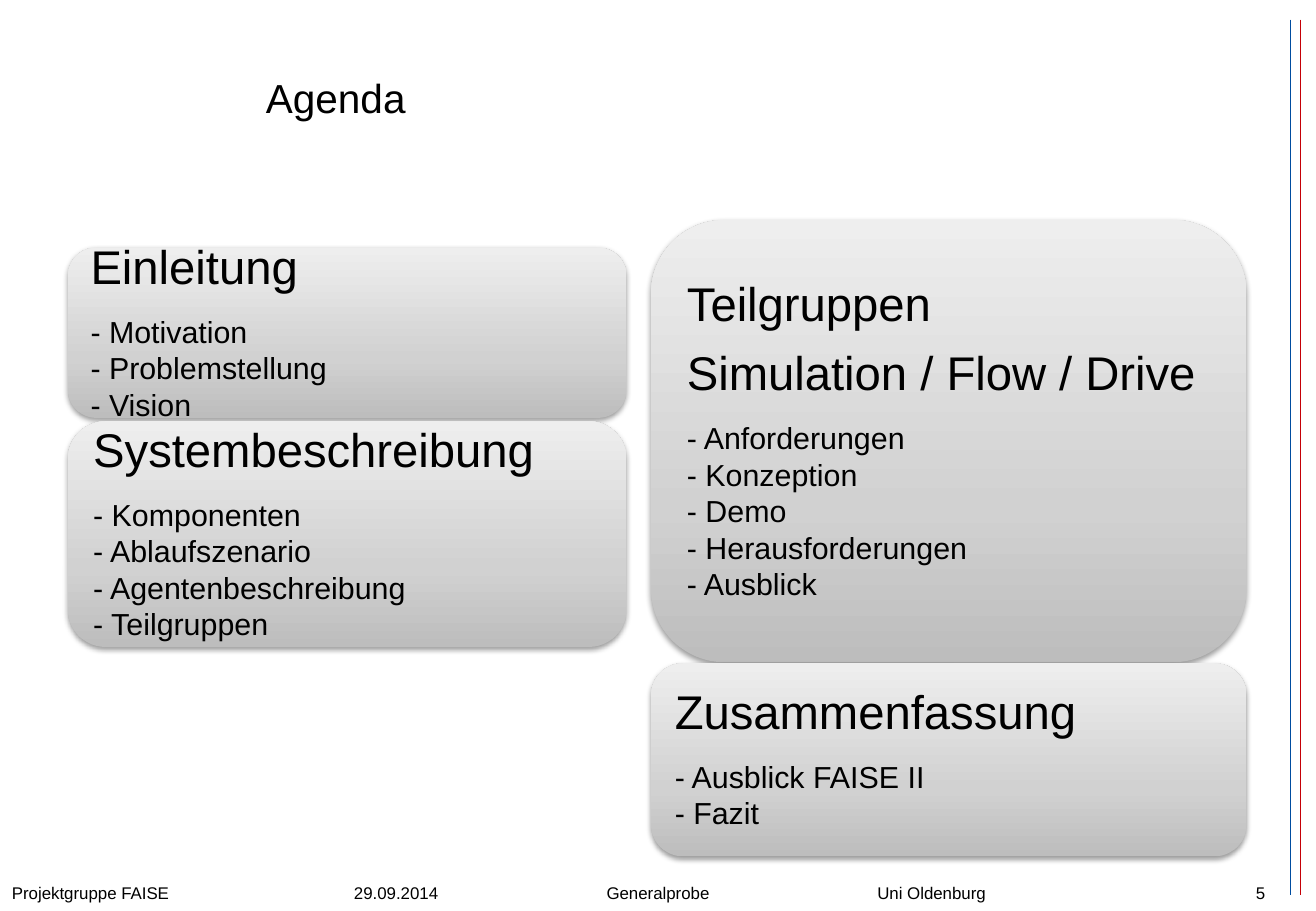
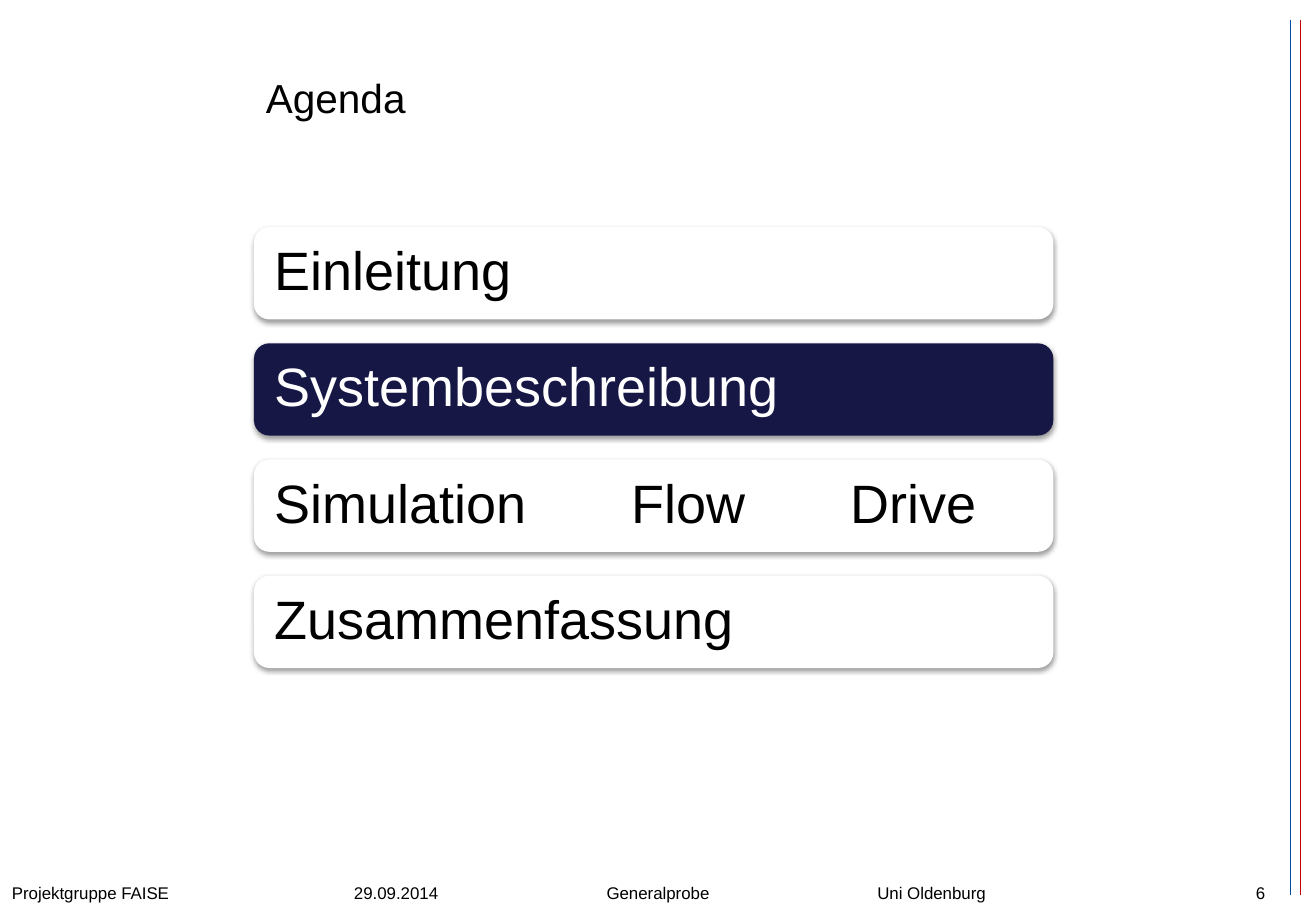
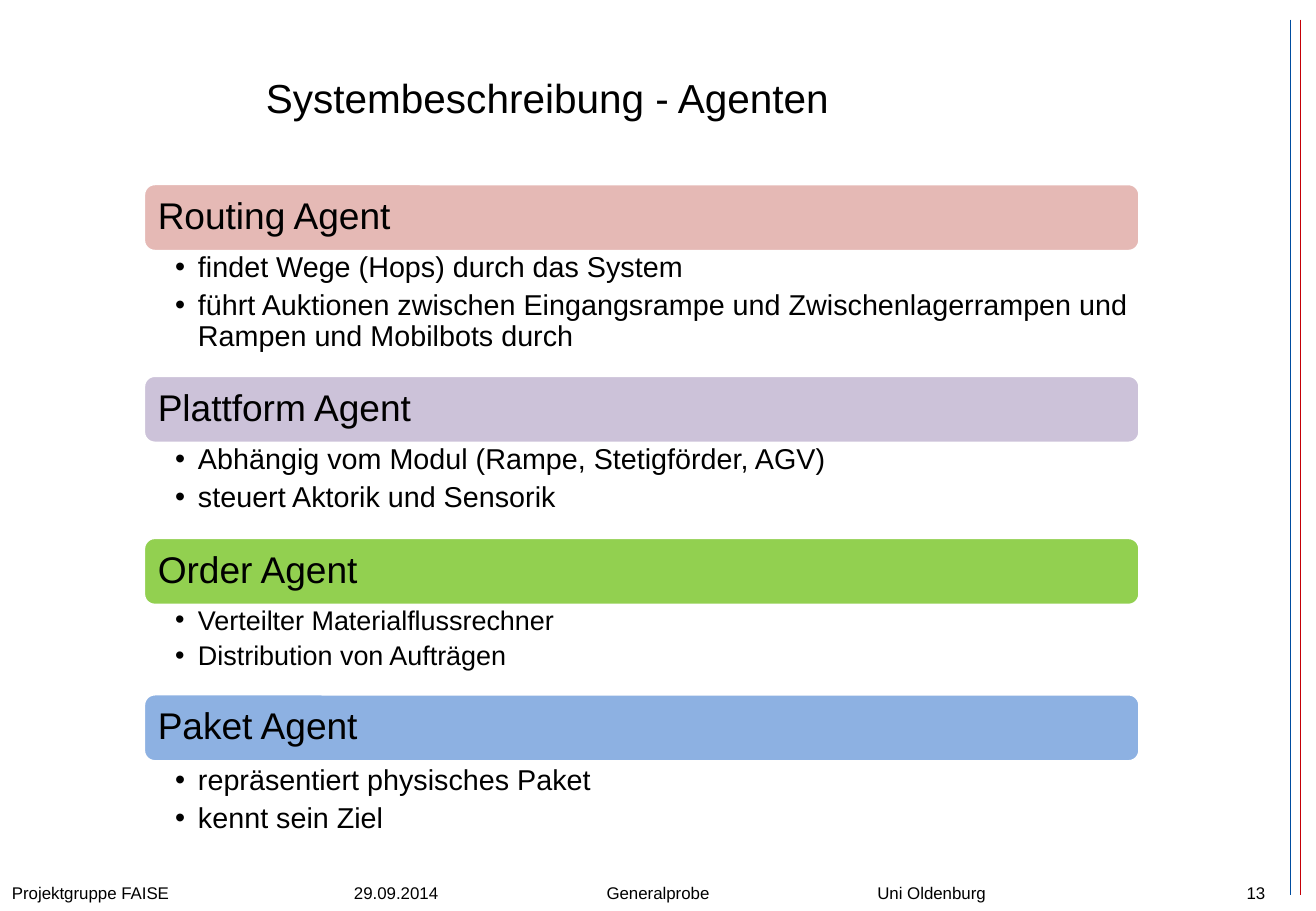
"""Build three agenda and agent slides of a project group talk."""
from dataclasses import dataclass

from lxml import etree
from pptx import Presentation
from pptx.dml.color import RGBColor
from pptx.enum.shapes import MSO_CONNECTOR, MSO_SHAPE
from pptx.enum.text import MSO_ANCHOR, PP_ALIGN
from pptx.oxml.ns import qn
from pptx.util import Cm, Pt

ROUND = MSO_SHAPE.ROUNDED_RECTANGLE
STRAIGHT = MSO_CONNECTOR.STRAIGHT
TOP, MIDDLE = MSO_ANCHOR.TOP, MSO_ANCHOR.MIDDLE
LEFT, RIGHT = PP_ALIGN.LEFT, PP_ALIGN.RIGHT


@dataclass(frozen=True)
class Theme:
    font: str = "Arial"
    text: str = "000000"
    white: str = "FFFFFF"
    active: str = "171745"
    red: str = "C50007"
    blue: str = "004CA0"
    card: tuple = ((0, "BDBDBD"), (35, "D1D1D1"), (100, "EEEEEE"))
    title: int = 24
    footer: int = 10
    card_head: int = 28
    card_item: int = 18
    step: int = 32
    agent: int = 22


@dataclass(frozen=True)
class Box:
    x: float
    y: float
    w: float
    h: float

    def emu(self) -> tuple:
        return Cm(self.x), Cm(self.y), Cm(self.w), Cm(self.h)


@dataclass(frozen=True)
class Card:
    box: Box
    heads: tuple
    items: tuple


@dataclass(frozen=True)
class Agent:
    name: str
    color: str
    height: float
    duties: tuple
    size: int = 17
    pad: float = 0.03


T = Theme()
FOOTER = "Projektgruppe FAISE\t29.09.2014\tGeneralprobe\tUni Oldenburg"
FOOTER_TABS = (7.15, 12.43, 18.09)
RULES = ((27.18, T.red), (26.97, T.blue))

CARDS = (
    Card(Box(1.42, 5.18, 11.68, 3.56), ("Einleitung",),
         ("- Motivation", "- Problemstellung", "- Vision")),
    Card(Box(1.42, 8.81, 11.68, 4.72), ("Systembeschreibung",),
         ("- Komponenten", "- Ablaufszenario", "- Agentenbeschreibung",
          "- Teilgruppen")),
    Card(Box(13.61, 4.6, 12.45, 9.25),
         ("Teilgruppen", "Simulation / Flow / Drive"),
         ("- Anforderungen", "- Konzeption", "- Demo",
          "- Herausforderungen", "- Ausblick")),
    Card(Box(13.61, 13.87, 12.45, 4.04), ("Zusammenfassung",),
         ("- Ausblick FAISE II", "- Fazit")),
)

STEPS = ("Einleitung", "Systembeschreibung", "Simulation\tFlow\tDrive",
         "Zusammenfassung")
STEP_TABS = (7.47, 12.05)
ACTIVE_STEP = 1

AGENTS = (
    Agent("Routing Agent", "E5B9B5", 2.59,
          ("findet Wege (Hops) durch das System",
           "führt Auktionen zwischen Eingangsrampe und Zwischenlagerrampen "
           "und Rampen und Mobilbots durch")),
    Agent("Plattform Agent", "CCC2D9", 1.97,
          ("Abhängig vom Modul (Rampe, Stetigförder, AGV)",
           "steuert Aktorik und Sensorik")),
    Agent("Order Agent", "92D050", 1.85,
          ("Verteilter Materialflussrechner", "Distribution von Aufträgen"),
          size=16),
    Agent("Paket Agent", "8DB1E2", 1.55,
          ("repräsentiert physisches Paket", "kennt sein Ziel"), pad=0.08),
)


def rgb(value: str) -> RGBColor:
    return RGBColor.from_string(value)


def add_run(p, text: str, size: float, color: str = T.text) -> None:
    r = p.add_run()
    r.text = text
    r.font.name = T.font
    r.font.size = Pt(size)
    r.font.color.rgb = rgb(color)


def set_frame(sp, anchor, insets: tuple | None = None):
    tf = sp.text_frame
    tf.word_wrap = True
    tf.vertical_anchor = anchor
    if insets:
        (tf.margin_left, tf.margin_top,
         tf.margin_right, tf.margin_bottom) = map(Cm, insets)
    return tf


def next_paragraph(tf, first: bool, after: float = 0,
                   spacing: float | None = None):
    p = tf.paragraphs[0] if first else tf.add_paragraph()
    p.alignment = LEFT
    p.space_after = Pt(after)
    if spacing:
        p.line_spacing = spacing
    return p


def add_tabs(p, stops: tuple) -> None:
    tabs = etree.SubElement(p._p.get_or_add_pPr(), qn("a:tabLst"))
    for stop in stops:
        etree.SubElement(tabs, qn("a:tab"), pos=str(Cm(stop)), algn="l")


def add_bullet(p) -> None:
    props = p._p.get_or_add_pPr()
    props.set("marL", str(Cm(0.48)))
    props.set("indent", str(Cm(-0.48)))
    etree.SubElement(props, qn("a:buFont"), typeface=T.font)
    etree.SubElement(props, qn("a:buChar"), char="•")


def add_color(parent, value: str):
    return etree.SubElement(parent, qn("a:srgbClr"), val=value)


def add_shadow(sp) -> None:
    effects = sp._element.spPr.find(qn("a:effectLst"))
    shadow = etree.SubElement(effects, qn("a:outerShdw"), blurRad="40000",
                              dist="20000", dir="5400000", rotWithShape="0")
    etree.SubElement(add_color(shadow, "000000"), qn("a:alpha"), val="38000")


def fill_gradient(sp, stops: tuple) -> None:
    sp.fill.gradient()
    sp.fill.gradient_angle = 90
    gs_list = next(sp._element.spPr.iter(qn("a:gsLst")))
    for old in list(gs_list):
        gs_list.remove(old)
    for pos, color in stops:
        add_color(etree.SubElement(gs_list, qn("a:gs"), pos=str(pos * 1000)),
                  color)


def add_panel(s, box: Box, fill: str | tuple, outline: str | None = None):
    sp = s.shapes.add_shape(ROUND, *box.emu())
    if isinstance(fill, tuple):
        fill_gradient(sp, fill)
    else:
        sp.fill.solid()
        sp.fill.fore_color.rgb = rgb(fill)
    if outline:
        sp.line.color.rgb = rgb(outline)
        sp.line.width = Pt(2)
    else:
        sp.line.fill.background()
    sp.shadow.inherit = False
    if not outline:
        add_shadow(sp)
    return sp


def add_label(s, box: Box, text: str, size: int, anchor=TOP, align=LEFT,
              tabs: tuple = ()) -> None:
    tf = set_frame(s.shapes.add_textbox(*box.emu()), anchor)
    p = next_paragraph(tf, True)
    p.alignment = align
    if tabs:
        add_tabs(p, tabs)
    add_run(p, text, size)


def add_slide(prs, title: str, number: int):
    s = prs.slides.add_slide(prs.slide_layouts[6])
    for x, color in RULES:
        line = s.shapes.add_connector(STRAIGHT, Cm(x), Cm(0.41),
                                      Cm(x), Cm(18.72))
        line.line.color.rgb = rgb(color)
        line.line.width = Pt(0.25)
        etree.SubElement(line._element.spPr, qn("a:effectLst"))
    add_label(s, Box(5.31, 0.76, 20.83, 2.57), title, T.title, MIDDLE)
    add_label(s, Box(20.27, 18.34, 6.43, 0.61), str(number), T.footer,
              align=RIGHT)
    add_label(s, Box(0, 18.34, 25.88, 0.71), FOOTER, T.footer,
              tabs=FOOTER_TABS)
    return s


def add_card(s, card: Card) -> None:
    tf = set_frame(add_panel(s, card.box, T.card), MIDDLE, (0.3,) * 4)
    for i, head in enumerate(card.heads):
        add_run(next_paragraph(tf, i == 0, 11, 0.9), head, T.card_head)
    p = next_paragraph(tf, False)
    for i, item in enumerate(card.items):
        if i:
            p.add_line_break()
        add_run(p, item, T.card_item)


def add_step(s, index: int, text: str) -> None:
    active = index == ACTIVE_STEP
    box = Box(5.31, 4.75 + 2.43 * index, 16.71, 1.93)
    sp = add_panel(s, box, T.active if active else T.white)
    p = next_paragraph(set_frame(sp, MIDDLE, (0.33,) * 4), True, spacing=0.9)
    if "\t" in text:
        add_tabs(p, STEP_TABS)
    add_run(p, text, T.step, T.white if active else T.text)


def add_agent(s, agent: Agent, y: float) -> float:
    x, w, bar = 3, 20.83, 1.42
    sp = add_panel(s, Box(x, y, w, bar), agent.color, T.white)
    p = next_paragraph(set_frame(sp, MIDDLE, (0.23,) * 4), True, spacing=0.9)
    add_run(p, agent.name, T.agent)
    body = Box(x, y + bar, w, agent.height)
    tf = set_frame(s.shapes.add_textbox(*body.emu()), TOP,
                   (0.66, agent.pad, 0.2, agent.pad))
    for i, duty in enumerate(agent.duties):
        p = next_paragraph(tf, i == 0, 4, 0.9)
        add_bullet(p)
        add_run(p, duty, agent.size)
    return y + bar + agent.height


def main() -> None:
    prs = Presentation()
    prs.slide_width, prs.slide_height = Cm(27.51), Cm(19.05)

    s = add_slide(prs, "Agenda", 5)
    for card in CARDS:
        add_card(s, card)

    s = add_slide(prs, "Agenda", 6)
    for i, step in enumerate(STEPS):
        add_step(s, i, step)

    s = add_slide(prs, "Systembeschreibung - Agenten", 13)
    y = 3.84
    for agent in AGENTS:
        y = add_agent(s, agent, y)

    prs.save("out.pptx")


if __name__ == "__main__":
    main()
